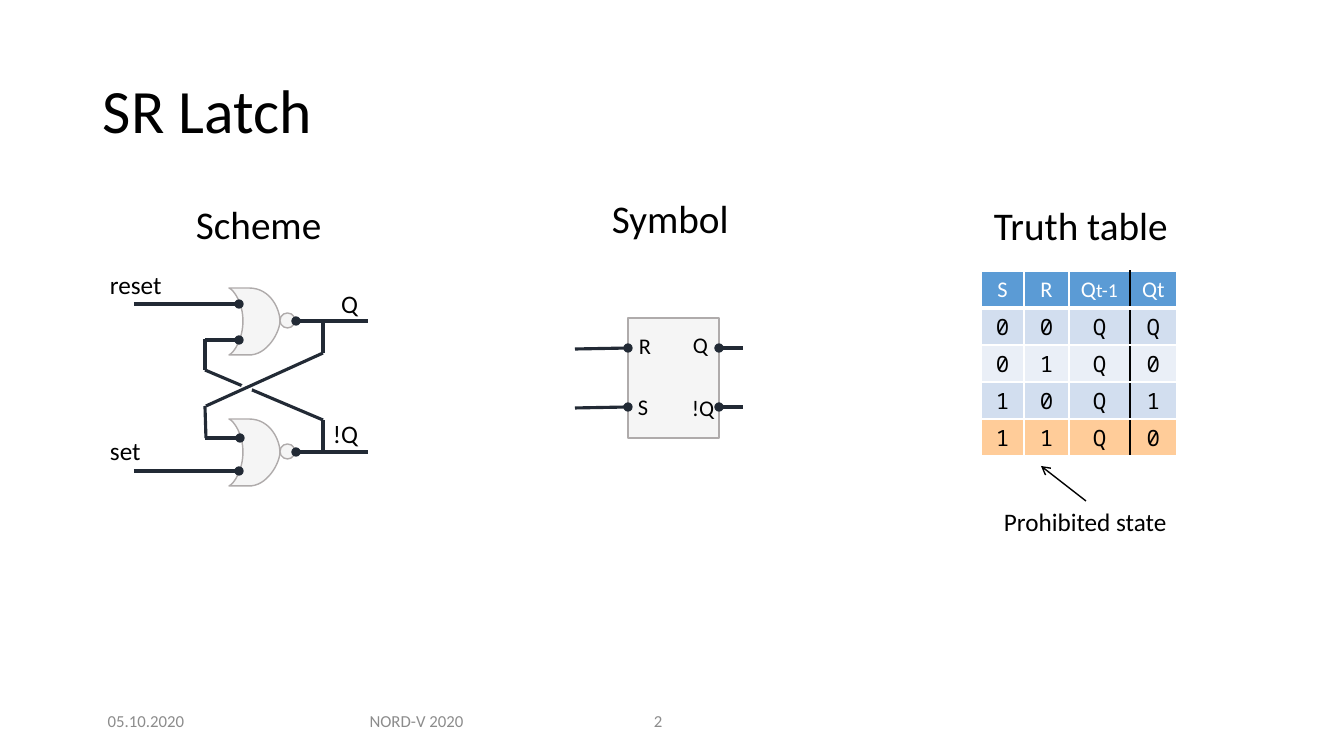
from dataclasses import dataclass

from lxml.etree import SubElement
from pptx import Presentation
from pptx.dml.color import RGBColor
from pptx.enum.shapes import MSO_CONNECTOR, MSO_SHAPE
from pptx.enum.text import MSO_ANCHOR, PP_ALIGN
from pptx.oxml.ns import qn
from pptx.util import Pt

PX = 12192000 / 1344  # EMU in one px


@dataclass(frozen=True)
class Theme:
    black: str = "000000"
    white: str = "FFFFFF"
    footer_grey: str = "8C8C8C"
    wire: str = "222A35"
    body: str = "F5F5F5"
    outline: str = "AFABAB"
    header: str = "5B9BD5"
    bands: tuple = ("D2DEEF", "EAEFF7")
    prohibited: str = "FFCC99"
    font: str = "Calibri"
    mono: str = "Noto Sans Mono"
    title_size: int = 44
    heading_size: int = 28
    label_size: int = 18
    pin_size: int = 16
    index_size: int = 14
    footer_size: int = 12


def emu(*lengths):
    return [round(length * PX) for length in lengths]


def rgb(color):
    return RGBColor.from_string(color)


def assign(target, values):
    for name, value in values.items():
        setattr(target, name, value)


class SlideBuilder:
    def __init__(self, slide, theme):
        self.slide = slide
        self.theme = theme

    def span(self, para, text, size, color, font=None):
        span = para.add_run()
        span.text = text
        assign(span.font, {"size": Pt(size), "name": font or self.theme.font, "bold": False})
        span.font.color.rgb = rgb(color)

    def text(self, area, text, size, color=None, align=PP_ALIGN.LEFT,
             anchor=MSO_ANCHOR.TOP, wrap=True, spacing=1.0):
        box = self.slide.shapes.add_textbox(*emu(*area))
        assign(box.text_frame, {"word_wrap": wrap, "vertical_anchor": anchor})
        para = box.text_frame.paragraphs[0]
        assign(para, {"alignment": align, "line_spacing": spacing})
        self.span(para, text, size, color or self.theme.black)
        return box

    def paint(self, shape, fill, line, width):
        shape.shadow.inherit = False
        shape.fill.solid()
        shape.fill.fore_color.rgb = rgb(fill)
        shape.line.color.rgb = rgb(line)
        shape.line.width = Pt(width)

    def shape(self, kind, area, fill=None, line=None, width=1):
        shape = self.slide.shapes.add_shape(kind, *emu(*area))
        self.paint(shape, fill or self.theme.body, line or self.theme.outline, width)

    def gate(self, left, top):
        """NOR gate: curved body and inverting bubble."""
        outline = [(20, 0), (0, 0), (5, 2), (14, 15), (14, 33), (14, 51), (5, 65), (0, 67),
                   (19, 67), (38, 68), (51, 44), (51, 33), (51, 22), (42, 0), (20, 0)]
        points = [emu(left + x, top + y) for x, y in outline]
        builder = self.slide.shapes.build_freeform(*points[0], scale=1.0)
        builder.add_line_segments(points[1:], close=True)
        body = builder.convert_to_shape()
        # Each run of three points after a straight edge bends into one curve
        edges = list(body._element.iter(qn("a:lnTo")))
        for start in (1, 4, 8, 11):
            first, *others = edges[start:start + 3]
            curve = first.makeelement(qn("a:cubicBezTo"))
            first.addprevious(curve)
            for edge in (first, *others):
                curve.append(edge[0])
                edge.getparent().remove(edge)
        self.paint(body, self.theme.body, self.theme.outline, 1)
        self.shape(MSO_SHAPE.OVAL, (left + 51, top + 25, 15, 15))

    def line(self, ends, color=None, width=2.25, tail=None):
        line = self.slide.shapes.add_connector(MSO_CONNECTOR.STRAIGHT, *emu(*ends))
        line.line.color.rgb = rgb(color or self.theme.wire)
        line.line.width = Pt(width)
        if tail:
            SubElement(line.line._get_or_add_ln(), qn("a:tailEnd"), type=tail)
        SubElement(line._element.spPr, qn("a:effectLst"))
        return line

    def border(self, cell, side, color, points):
        edge = SubElement(cell._tc.get_or_add_tcPr(), qn(f"a:ln{side}"), w=str(Pt(points)))
        SubElement(SubElement(edge, qn("a:solidFill")), qn("a:srgbClr"), val=color)

    def truth_table(self, area, widths, heights, rows):
        theme = self.theme
        table = self.slide.shapes.add_table(len(rows), len(widths), *emu(*area)).table
        table.horz_banding = False
        for items, lengths, name in ((table.columns, widths, "width"), (table.rows, heights, "height")):
            for item, length in zip(items, emu(*lengths)):
                setattr(item, name, length)
        margin_x, margin_y = emu(5, 3)
        layout = {"margin_left": margin_x, "margin_right": margin_x, "margin_top": margin_y,
                  "margin_bottom": margin_y, "vertical_anchor": MSO_ANCHOR.MIDDLE}
        fills = [theme.header, *(theme.bands[i % 2] for i in range(len(rows) - 2)), theme.prohibited]
        last = len(widths) - 1
        for i, row in enumerate(rows):
            for j, value in enumerate(row):
                cell = table.cell(i, j)
                assign(cell, layout)
                # The output column is set apart by a black rule
                self.border(cell, "L", theme.black if j == last else theme.white, 1)
                self.border(cell, "R", theme.black if j == last - 1 else theme.white, 1)
                self.border(cell, "T", theme.white, 1)
                self.border(cell, "B", theme.white, 1 if i else 3)
                cell.fill.solid()
                cell.fill.fore_color.rgb = rgb(fills[i])
                para = cell.text_frame.paragraphs[0]
                para.alignment = PP_ALIGN.CENTER
                color, font = (theme.black, theme.mono) if i else (theme.white, theme.font)
                name, *index = value.split("_")
                self.span(para, name, theme.pin_size, color, font)
                for part in index:
                    self.span(para, part, theme.index_size, color, font)


def main():
    theme = Theme()
    deck = Presentation()
    deck.slide_width, deck.slide_height = emu(1344, 756)
    page = SlideBuilder(deck.slides.add_slide(deck.slide_layouts[6]), theme)

    # Title, headings and footer
    page.text((93, 41, 1159, 146), "SR Latch", theme.title_size, anchor=MSO_ANCHOR.MIDDLE, spacing=0.9)
    for area, heading in (((186, 195, 161, 57), "Scheme"), ((602, 189, 152, 57), "Symbol"),
                          ((984, 196, 197, 57), "Truth table")):
        page.text(area, heading, theme.heading_size)
    for left, width, footer, align in ((92, 108, "05.10.2020", PP_ALIGN.CENTER),
                                       (337, 159, "NORD-V 2020", PP_ALIGN.CENTER),
                                       (644, 80, "2", PP_ALIGN.LEFT)):
        page.text((left, 701, width, 40), footer, theme.footer_size, theme.footer_grey,
                  align, MSO_ANCHOR.MIDDLE)

    # Scheme: gates, then wires with pin dots
    for top in (288, 419):
        page.gate(229, top)
    for ends in ((134, 304, 239, 304), (205, 340, 239, 340), (368, 321, 296, 321),
                 (134, 471, 239, 471), (205, 438, 240, 438), (368, 452, 296, 452)):
        page.line(ends, tail="oval")
    for ends in ((205, 406, 206, 438), (323, 321, 323, 353), (323, 420, 323, 452),
                 (205, 370, 323, 420), (205, 339, 205, 370)):
        page.line(ends)
    # Gap where one feedback wire passes over the other
    page.shape(MSO_SHAPE.OVAL, (241, 383, 11, 11), theme.white, theme.white, 0.25)
    page.line((323, 353, 206, 406))
    for left, top, width, label, align in ((100, 264, 96, "reset", PP_ALIGN.LEFT),
                                           (100, 430, 101, "set", PP_ALIGN.LEFT),
                                           (307, 283, 61, "Q", PP_ALIGN.RIGHT),
                                           (307, 413, 61, "!Q", PP_ALIGN.RIGHT)):
        page.text((left, top, width, 40), label, theme.label_size, align=align)

    # Symbol
    page.shape(MSO_SHAPE.RECTANGLE, (628, 318, 91, 120))
    for y in (348, 407):
        page.line((575, y + 1, 628, y), tail="oval")
        page.line((743, y, 719, y), tail="oval")
    for left, top, width, pin in ((629, 327, 32, "R"), (628, 388, 31, "S"),
                                  (683, 326, 35, "Q"), (682, 389, 44, "!Q")):
        page.text((left, top, width, 37), pin, theme.pin_size, wrap=False)

    # Truth table and its remark
    page.truth_table((981, 271, 196, 185), (43, 45, 61, 47), (37,) * 5,
                     (("S", "R", "Q_t-1", "Qt"), "00QQ", "01Q0", "10Q1", "11Q0"))
    remark = page.text((994, 501, 184, 40), "Prohibited state", theme.label_size, wrap=False)
    arrow = page.line((1086, 501, 1041, 466), theme.black, 1, "arrow")
    arrow.begin_connect(remark, 0)

    deck.save("out.pptx")


if __name__ == "__main__":
    main()
